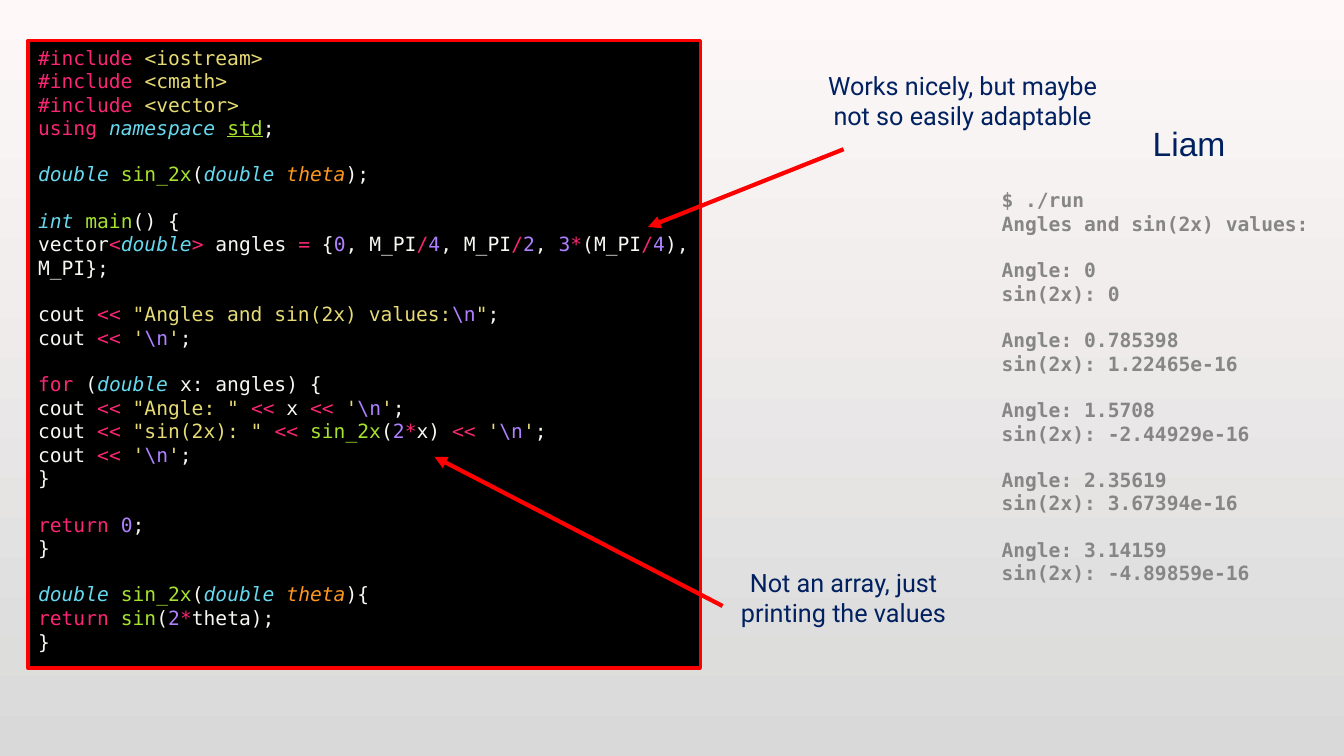
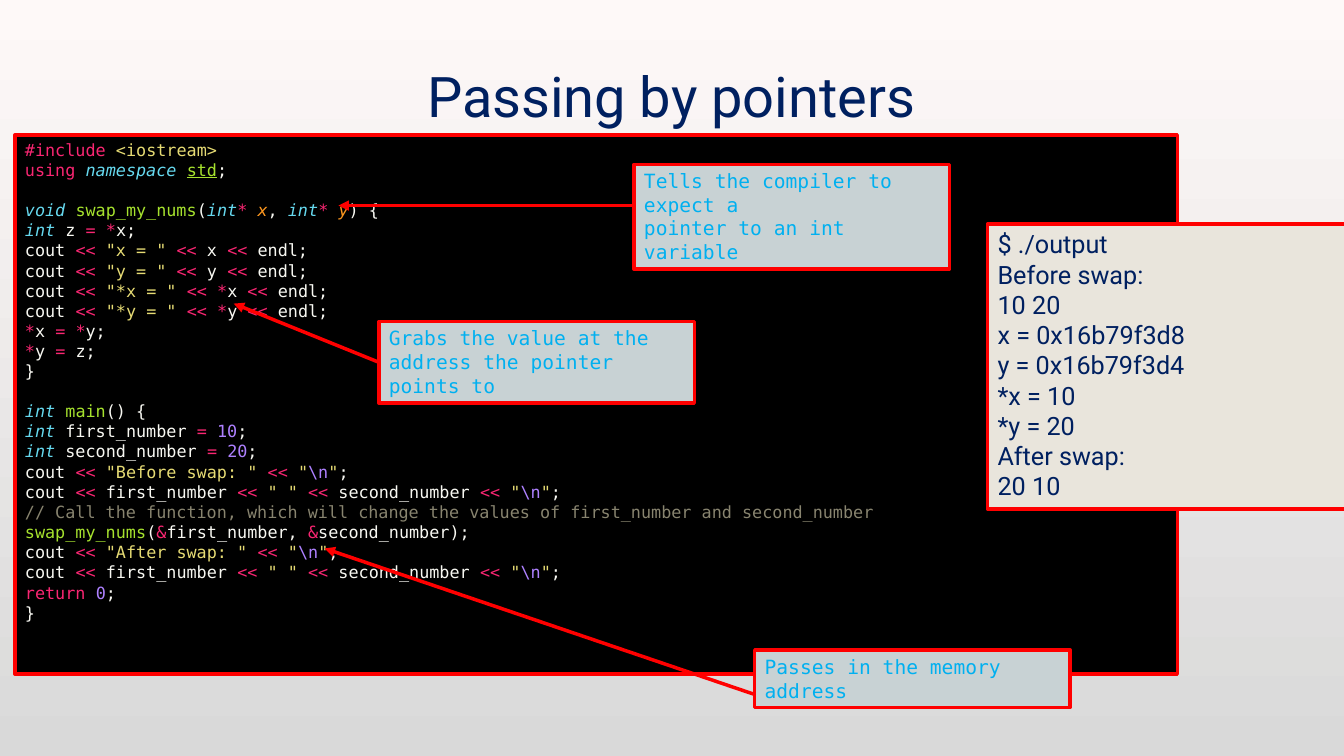
import itertools
from dataclasses import dataclass
from typing import Iterator, Optional

import lxml.etree
import pptx
import pptx.dml.color
import pptx.enum.shapes
import pptx.enum.text
import pptx.oxml
import pptx.oxml.ns
import pptx.util

RGBColor = pptx.dml.color.RGBColor
Cm = pptx.util.Cm
Pt = pptx.util.Pt

BACKGROUND_TOP = RGBColor(0xFE, 0xF9, 0xF8)
BACKGROUND_BOTTOM = RGBColor(0xD9, 0xD9, 0xD9)
NAVY = RGBColor(0x00, 0x20, 0x60)
RED = RGBColor(0xFF, 0x00, 0x00)
BLACK = RGBColor(0x00, 0x00, 0x00)
GRAY = RGBColor(0x86, 0x86, 0x86)
SKY = RGBColor(0x00, 0xB0, 0xF0)
CALLOUT_FILL = RGBColor(0xC8, 0xD2, 0xD4)
PANEL_FILL = RGBColor(0xE9, 0xE5, 0xDC)

MONO = "DejaVu Sans Mono"
SANS = "Roboto"
MONO_LINE_HEIGHT = 1.164
CENTER = pptx.enum.text.PP_ALIGN.CENTER
LEFT = pptx.enum.text.PP_ALIGN.LEFT
TOP = pptx.enum.text.MSO_ANCHOR.TOP
MIDDLE = pptx.enum.text.MSO_ANCHOR.MIDDLE


@dataclass(frozen=True)
class Box:
    left: float
    top: float
    width: float
    height: float


@dataclass(frozen=True)
class TextStyle:
    color: RGBColor
    size: int = 18
    font: str = SANS
    bold: bool = False
    italic: bool = False
    underline: bool = False


@dataclass(frozen=True)
class Callout:
    text: str
    box: Box
    tip: tuple[float, float]
    start_y: Optional[float] = None


NOTE = TextStyle(NAVY)
CALLOUT_TEXT = TextStyle(SKY, 14, MONO)
TERMINAL = TextStyle(GRAY, 14, MONO, bold=True)

PLAIN = TextStyle(RGBColor(0xF8, 0xF8, 0xF2))
OPERATOR = TextStyle(RGBColor(0xF9, 0x26, 0x72))
STRING = TextStyle(RGBColor(0xE6, 0xDB, 0x74))
NUMBER = TextStyle(RGBColor(0xAE, 0x81, 0xFF))
COMMENT = TextStyle(RGBColor(0x88, 0x84, 0x6F))
FUNCTION = TextStyle(RGBColor(0xA6, 0xE2, 0x2E))
NAMESPACE = TextStyle(FUNCTION.color, underline=True)
TYPE = TextStyle(RGBColor(0x66, 0xD9, 0xEF), italic=True)
PARAMETER = TextStyle(RGBColor(0xFD, 0x97, 0x1F), italic=True)

WORD_STYLES = {
    **dict.fromkeys(("double", "int", "void", "namespace"), TYPE),
    **dict.fromkeys(("using", "for", "return"), OPERATOR),
    **dict.fromkeys(("sin_2x", "main", "sin", "swap_my_nums"), FUNCTION),
    "std": NAMESPACE,
}

SINE_CODE = r"""#include <iostream>
#include <cmath>
#include <vector>
using namespace std;

double sin_2x(double theta);

int main() {
vector<double> angles = {0, M_PI/4, M_PI/2, 3*(M_PI/4), M_PI};

cout << "Angles and sin(2x) values:\n";
cout << '\n';

for (double x: angles) {
cout << "Angle: " << x << '\n';
cout << "sin(2x): " << sin_2x(2*x) << '\n';
cout << '\n';
}

return 0;
}

double sin_2x(double theta){
return sin(2*theta);
}"""

SINE_OUTPUT = """$ ./run
Angles and sin(2x) values:

Angle: 0
sin(2x): 0

Angle: 0.785398
sin(2x): 1.22465e-16

Angle: 1.5708
sin(2x): -2.44929e-16

Angle: 2.35619
sin(2x): 3.67394e-16

Angle: 3.14159
sin(2x): -4.89859e-16"""

SWAP_CODE = r"""#include <iostream>
using namespace std;

void swap_my_nums(int* x, int* y) {
int z = *x;
cout << "x = " << x << endl;
cout << "y = " << y << endl;
cout << "*x = " << *x << endl;
cout << "*y = " << *y << endl;
*x = *y;
*y = z;
}

int main() {
int first_number = 10;
int second_number = 20;
cout << "Before swap: " << "\n";
cout << first_number << " " << second_number << "\n";
// Call the function, which will change the values of first_number and second_number
swap_my_nums(&first_number, &second_number);
cout << "After swap: " << "\n";
cout << first_number << " " << second_number << "\n";
return 0;
}"""

SWAP_OUTPUT = """$ ./output
Before swap:
10 20
x = 0x16b79f3d8
y = 0x16b79f3d4
*x = 10
*y = 20
After swap:
20 10"""

CALLOUTS = (
    Callout("Tells the compiler to expect a\vpointer to an int variable",
            Box(15.98, 4.14, 7.95, 2.64), (8.53, 5.18), 5.18),
    Callout("Grabs the value at the address the pointer points to",
            Box(9.55, 8.1, 7.95, 2.06), (5.89, 7.65)),
    Callout("Passes in the memory address",
            Box(19.02, 16.38, 7.95, 1.45), (8.18, 13.82), 17.5),
)


def word_style(word: str, before: str) -> TextStyle:
    if word in WORD_STYLES:
        return WORD_STYLES[word]
    if word.isdigit():
        return NUMBER
    declares = WORD_STYLES.get(before.split(" ")[0]) == TYPE
    return PARAMETER if declares and "(" in before else PLAIN


def tokens(line: str) -> Iterator[tuple[str, TextStyle]]:
    if line.startswith("//"):
        yield line, COMMENT
        return
    if line.startswith("#include "):
        directive, _, header = line.partition(" ")
        yield directive + " ", OPERATOR
        yield header, STRING
        return
    start = 0
    while start < len(line):
        first = line[start]
        end = start + 1
        if first in "\"'":
            end = line.index(first, end) + 1
            body, escape, rest = line[start:end].partition("\\n")
            yield from ((body, STRING), (escape, NUMBER), (rest, STRING))
        elif first.isalnum() or first == "_":
            while end < len(line) and (line[end].isalnum() or line[end] == "_"):
                end += 1
            yield line[start:end], word_style(line[start:end], line[:start])
        else:
            yield first, OPERATOR if first in "<>=*/&" else PLAIN
        start = end


def format_font(font, style: TextStyle, size: int, name: str) -> None:
    font.name = name
    font.size = Pt(size)
    font.bold = style.bold
    font.italic = style.italic
    font.underline = style.underline
    font.color.rgb = style.color


def spaced_paragraphs(text_frame, text: str, size: int) -> Iterator[tuple]:
    lines = text.split("\n")
    shown = [index for index, line in enumerate(lines) if line]
    text_frame.text = "\n".join(lines[index] for index in shown)
    for index, paragraph in zip(shown, text_frame.paragraphs):
        if index and not lines[index - 1]:
            paragraph.space_before = Pt(round(size * MONO_LINE_HEIGHT, 1))
        yield paragraph, lines[index]


def write_text(shape, text: str, style: TextStyle, align=LEFT, anchor=TOP) -> None:
    shape.text_frame.word_wrap = True
    shape.text_frame.vertical_anchor = anchor
    for paragraph, _ in spaced_paragraphs(shape.text_frame, text, style.size):
        paragraph.alignment = align
        for run in paragraph.runs:
            format_font(run.font, style, style.size, style.font)


def lengths(box: Box) -> tuple:
    return Cm(box.left), Cm(box.top), Cm(box.width), Cm(box.height)


def add_text(slide, box: Box, text: str, style: TextStyle, align=LEFT, anchor=TOP):
    shape = slide.shapes.add_textbox(*lengths(box))
    write_text(shape, text, style, align, anchor)
    return shape


def add_framed_box(slide, box: Box, fill: RGBColor):
    shape = slide.shapes.add_shape(
        pptx.enum.shapes.MSO_SHAPE.RECTANGLE, *lengths(box))
    shape.shadow.inherit = False
    shape.fill.solid()
    shape.fill.fore_color.rgb = fill
    shape.line.color.rgb = RED
    shape.line.width = Pt(2.5)
    return shape


def add_code(slide, box: Box, code: str, size: int) -> None:
    frame = add_framed_box(slide, box, BLACK).text_frame
    frame.word_wrap = True
    frame.vertical_anchor = TOP
    for paragraph, line in spaced_paragraphs(frame, code, size):
        paragraph.clear()
        paragraph.alignment = LEFT
        for style, group in itertools.groupby(tokens(line), key=lambda token: token[1]):
            run = paragraph.add_run()
            run.text = "".join(piece for piece, _ in group)
            format_font(run.font, style, size, MONO)


def add_arrow(slide, start: tuple[float, float], tip: tuple[float, float], width: float):
    arrow = slide.shapes.add_connector(
        pptx.enum.shapes.MSO_CONNECTOR.STRAIGHT, *map(Cm, start + tip))
    arrow.line.color.rgb = RED
    arrow.line.width = Pt(width)
    qn = pptx.oxml.ns.qn
    lxml.etree.SubElement(arrow.line._get_or_add_ln(), qn("a:tailEnd"), type="triangle")
    lxml.etree.SubElement(arrow._element.spPr, qn("a:effectLst"))
    return arrow


def add_callout(slide, callout: Callout) -> None:
    box = callout.box
    shape = add_framed_box(slide, box, CALLOUT_FILL)
    write_text(shape, callout.text, CALLOUT_TEXT)
    start_y = callout.start_y or box.top + box.height / 2
    arrow = add_arrow(slide, (box.left, start_y), callout.tip, 2.5)
    if callout.start_y is None:
        arrow.begin_connect(shape, 1)


def add_title(slide, text: str) -> None:
    title = add_text(slide, Box(2.54, 0.64, 28.75, 3.51), text,
                     TextStyle(NAVY, 40), CENTER, MIDDLE)
    properties = title.text_frame.paragraphs[0].runs[0].font._element
    properties.find(pptx.oxml.ns.qn("a:solidFill")).addnext(pptx.oxml.parse_xml(
        f'<a:effectLst {pptx.oxml.ns.nsdecls("a")}>'
        '<a:outerShdw blurRad="38100" dist="38100" dir="2700000">'
        '<a:srgbClr val="000000"><a:alpha val="43000"/></a:srgbClr>'
        '</a:outerShdw></a:effectLst>'))


def set_background(master) -> None:
    fill = master.background.fill
    fill.gradient()
    fill.gradient_angle = 270
    for stop, color in zip(fill.gradient_stops, (BACKGROUND_TOP, BACKGROUND_BOTTOM)):
        stop.color.rgb = color


def build_sine_slide(slide) -> None:
    add_code(slide, Box(0.71, 1.02, 16.94, 15.82), SINE_CODE, 14)
    add_text(slide, Box(24.99, 4.62, 8.64, 10.44), SINE_OUTPUT, TERMINAL)
    add_arrow(slide, (21.26, 3.76), (16.33, 5.72), 3)
    add_text(slide, Box(20.55, 1.65, 7.42, 2.57),
             "Works nicely, but maybe not so easily adaptable", NOTE, CENTER)
    add_text(slide, Box(28.8, 2.97, 4.42, 1.27), "Liam", TextStyle(NAVY, 24, "Arial"))
    add_arrow(slide, (18.21, 15.27), (10.95, 11.51), 3)
    add_text(slide, Box(17.55, 14.17, 7.42, 1.8),
             "Not an array, just printing the values", NOTE, CENTER)


def build_pointer_slide(slide) -> None:
    add_code(slide, Box(0.38, 3.4, 29.29, 13.59), SWAP_CODE, 12)
    add_title(slide, "Passing by pointers")
    panel = add_framed_box(slide, Box(24.89, 5.64, 10.8, 7.19), PANEL_FILL)
    write_text(panel, SWAP_OUTPUT, NOTE)
    for callout in CALLOUTS:
        add_callout(slide, callout)


def main() -> None:
    presentation = pptx.Presentation()
    presentation.slide_width = Cm(33.87)
    presentation.slide_height = Cm(19.05)
    set_background(presentation.slide_master)
    for build in (build_sine_slide, build_pointer_slide):
        build(presentation.slides.add_slide(presentation.slide_layouts[6]))
    presentation.save("out.pptx")


if __name__ == "__main__":
    main()
